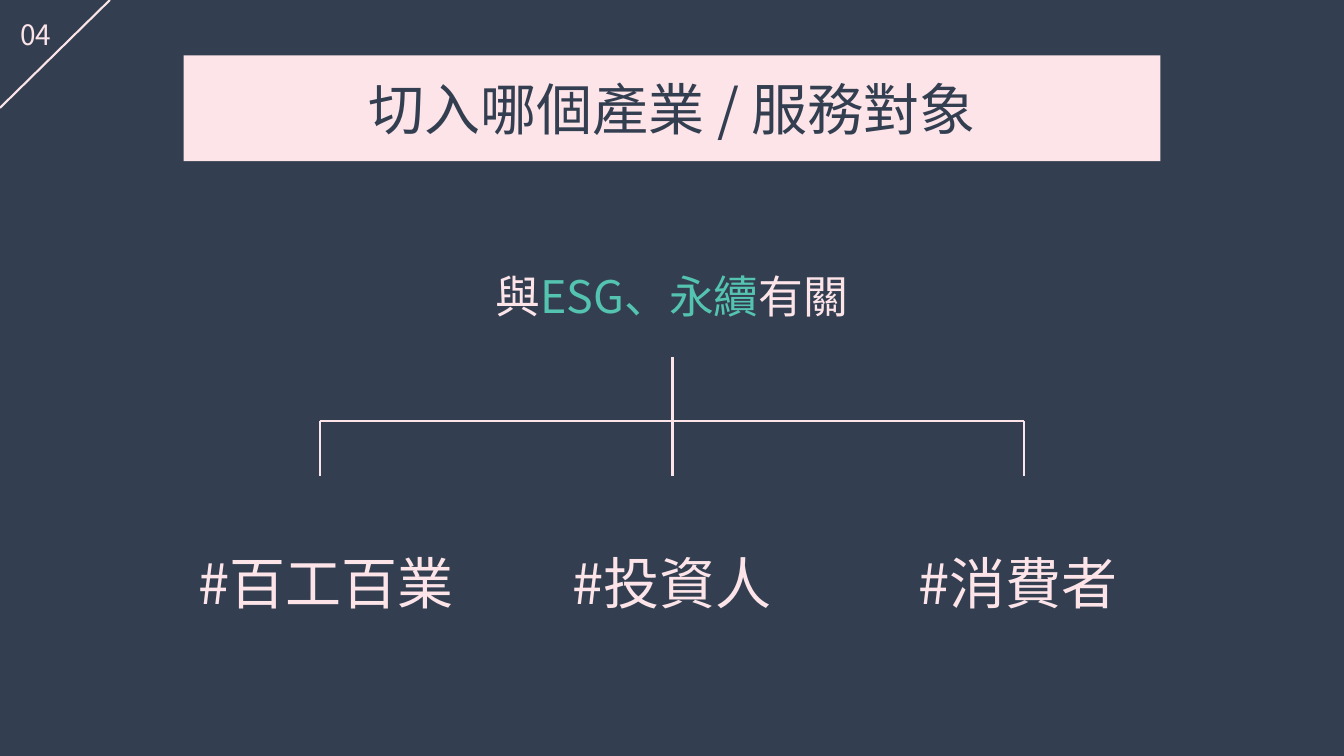
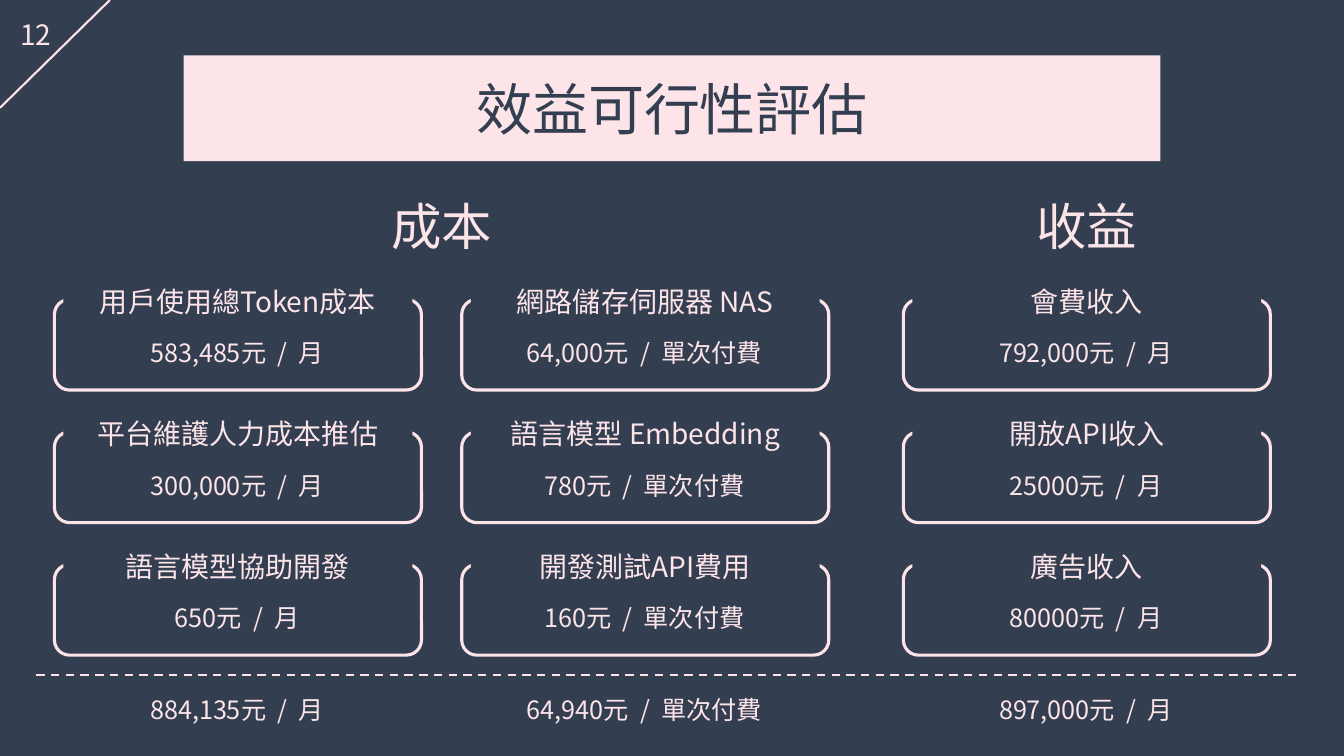
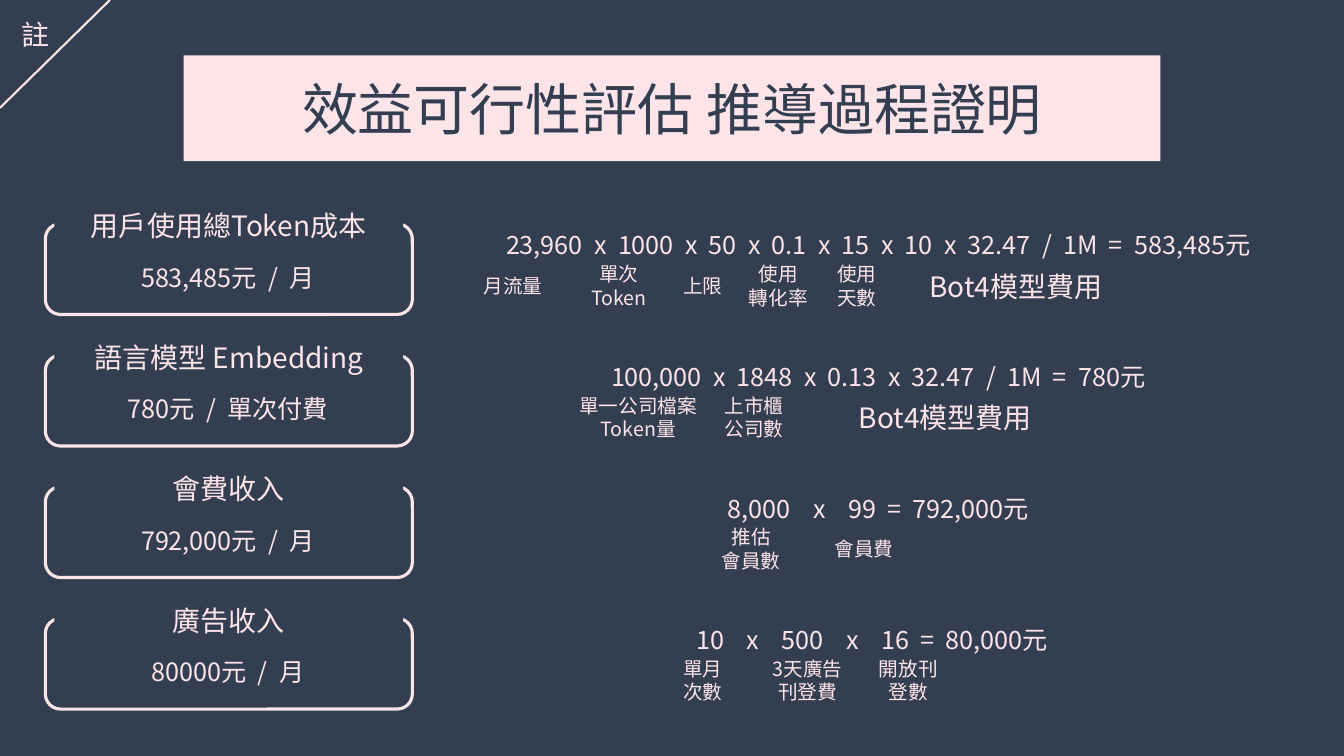
from lxml.etree import SubElement
from pptx import Presentation
from pptx.dml.color import RGBColor
from pptx.enum.dml import MSO_LINE
from pptx.enum.shapes import MSO_CONNECTOR, MSO_SHAPE
from pptx.enum.text import MSO_ANCHOR, PP_ALIGN
from pptx.oxml.ns import qn
from pptx.util import Inches, Pt

FONT = "Noto Sans CJK JP"
COLORS = {"navy": "333F50", "pink": "FCE4E9", "teal": "54C3B0"}
SIZES = {"title": 40, "lead": 32, "heading": 36, "name": 20, "amount": 18, "note": 14}
AMOUNT_GAP = 4  # extra points after each space in an amount

AUDIENCES = ["#百工百業", "#投資人", "#消費者"]

# heading: left of its box
HEADINGS = {"成本": 3.66, "收益": 10.06}
# (left, [(name, amount)], total)
COLUMNS = [
    (0.54, [("用戶使用總Token成本", "583,485元 / 月"),
            ("平台維護人力成本推估", "300,000元 / 月"),
            ("語言模型協助開發", "650元 / 月")], "884,135元 / 月"),
    (4.58, [("網路儲存伺服器 NAS", "64,000元 / 單次付費"),
            ("語言模型 Embedding", "780元 / 單次付費"),
            ("開發測試API費用", "160元 / 單次付費")], "64,940元 / 單次付費"),
    (8.96, [("會費收入", "792,000元 / 月"),
            ("開放API收入", "25000元 / 月"),
            ("廣告收入", "80000元 / 月")], "897,000元 / 月"),
]

# Offset of a note below the top of its row, by kind
NOTE_OFFSETS = {"single": 0.65, "double": 0.53, "price": 0.6}
PRICE_NOTE = "Bot4模型費用"
# (name, amount, factors, gap around factors, result, formula left, notes)
# with each note as (text, kind, left, width)
DERIVATIONS = [
    ("用戶使用總Token成本", "583,485元 / 月",
     "23,960 x 1000 x 50 x 0.1 x 15 x 10 x 32.47 / 1M", 4, "583,485元", 4.09,
     [("月流量", "single", 4.61, 0.96), ("單次Token", "double", 5.66, 0.96),
      ("上限", "single", 6.49, 0.96), ("使用\n轉化率", "double", 7.24, 0.96),
      ("使用\n天數", "double", 8.02, 0.96), (PRICE_NOTE, "price", 9, 2.15)]),
    ("語言模型 Embedding", "780元 / 單次付費",
     "100,000 x 1848 x 0.13 x 32.47 / 1M", 4, "780元", 4.09,
     [("單一公司檔案Token量", "double", 5.58, 1.5),
      ("上市櫃\n公司數", "double", 7.02, 0.92), (PRICE_NOTE, "price", 8.3, 2.15)]),
    ("會費收入", "792,000元 / 月", "8,000 x 99", 12, "792,000元", 4.09,
     [("推估\n會員數", "double", 6.99, 0.92), ("會員費", "single", 8.11, 0.92)]),
    ("廣告收入", "80000元 / 月", "10 x 500 x 16", 12, "80,000元", 4.03,
     [("單月\n次數", "double", 6.51, 0.92), ("3天廣告刊登費", "double", 7.55, 0.92),
      ("開放刊登數", "double", 8.55, 0.92)]),
]


def rgb(color):
    return RGBColor.from_string(COLORS[color])


def box(left, top, width, height):
    return [Inches(value) for value in (left, top, width, height)]


def add_run(paragraph, text, size, color="pink", gap=0):
    run = paragraph.add_run()
    run.text = text
    for name, value in {"name": FONT, "size": Pt(size), "bold": False}.items():
        setattr(run.font, name, value)
    run.font.color.rgb = rgb(color)
    properties = run._r.get_or_add_rPr()
    SubElement(properties, qn("a:ea")).set("typeface", FONT)
    if gap:
        properties.set("spc", str(gap * 100))


def add_spaced_runs(paragraph, text, size, gap):
    """Write text with its single spaces widened by gap points."""
    for index, word in enumerate(text.split(" ")):
        if index:
            add_run(paragraph, " ", size, gap=gap)
        if word:
            add_run(paragraph, word, size)


def format_frame(frame, anchor=MSO_ANCHOR.TOP):
    for name, value in {"word_wrap": True, "vertical_anchor": anchor}.items():
        setattr(frame, name, value)


def add_text(slide, position, text="", size=SIZES["amount"], gap=0, line_spacing=None):
    """Add a centred text box, one paragraph a line, and return its first paragraph."""
    frame = slide.shapes.add_textbox(*box(*position)).text_frame
    format_frame(frame)
    for index, line in enumerate(text.split("\n")):
        paragraph = frame.add_paragraph() if index else frame.paragraphs[0]
        paragraph.alignment = PP_ALIGN.CENTER
        if line_spacing:
            paragraph.line_spacing = line_spacing
        if line:
            add_spaced_runs(paragraph, line, size, gap)
    return frame.paragraphs[0]


def add_line(slide, start, end, dash=None):
    points = [Inches(value) for value in (*start, *end)]
    connector = slide.shapes.add_connector(MSO_CONNECTOR.STRAIGHT, *points)
    connector.line.color.rgb = rgb("pink")
    connector.line.width = Pt(1.5)
    if dash:
        connector.line.dash_style = dash
    SubElement(connector._element.spPr, qn("a:effectLst"))


def add_card(slide, left, top, name, amount):
    """Add an outlined card whose name interrupts the upper edge."""
    frame = slide.shapes.add_shape(MSO_SHAPE.ROUNDED_RECTANGLE, *box(left, top + 0.2, 3.64, 0.9))
    frame.shadow.inherit = False
    frame.fill.background()
    frame.line.color.rgb = rgb("pink")
    frame.line.width = Pt(2.25)
    add_text(slide, (left + 0.35, top + 0.53, 2.92, 0.4), amount, gap=AMOUNT_GAP)
    plate = slide.shapes.add_shape(MSO_SHAPE.RECTANGLE, *box(left + 0.09, top, 3.46, 0.44))
    plate.shadow.inherit = False
    plate.fill.solid()
    plate.fill.fore_color.rgb = rgb("navy")
    plate.line.fill.background()
    format_frame(plate.text_frame)
    paragraph = plate.text_frame.paragraphs[0]
    paragraph.alignment = PP_ALIGN.CENTER
    add_run(paragraph, name, SIZES["name"])


def add_titled_slide(presentation, title, number):
    slide = presentation.slides.add_slide(presentation.slide_layouts[5])
    band = slide.shapes.title
    band.left, band.top, band.width, band.height = box(1.82, 0.55, 9.69, 1.05)
    band.fill.solid()
    band.fill.fore_color.rgb = rgb("pink")
    format_frame(band.text_frame, MSO_ANCHOR.MIDDLE)
    paragraph = band.text_frame.paragraphs[0]
    paragraph.alignment = PP_ALIGN.CENTER
    add_run(paragraph, title, SIZES["title"], "navy")
    add_line(slide, (1.09, 0), (0, 1.07))
    add_text(slide, (0.08, 0.12, 0.55, 0.44), number, SIZES["name"])
    return slide


def build_audience_slide(presentation):
    slide = add_titled_slide(presentation, "切入哪個產業 / 服務對象", "04")
    lead = add_text(slide, (4.41, 2.35, 4.51, 0.82), line_spacing=1.5)
    for text, color in (("與", "pink"), ("ESG、永續", "teal"), ("有關", "pink")):
        add_run(lead, text, SIZES["lead"], color)

    left, middle, right = 3.17, 6.67, 10.16
    fork, bottom = 4.18, 4.72
    add_line(slide, (middle, 3.54), (middle, bottom))
    add_line(slide, (left, fork), (right, fork))
    for x in (left, right):
        add_line(slide, (x, fork), (x, bottom))
    for index, audience in enumerate(AUDIENCES):
        add_text(slide, (1.77 + 3.43 * index, 5.06, 2.93, 1), audience,
                 SIZES["title"], line_spacing=1.5)


def build_benefit_slide(presentation):
    slide = add_titled_slide(presentation, "效益可行性評估", "12")
    for heading, left in HEADINGS.items():
        add_text(slide, (left, 1.89, 1.44, 0.71), heading, SIZES["heading"])
    for left, cards, total in COLUMNS:
        for row, (name, amount) in enumerate(cards):
            add_card(slide, left, 2.77 + 1.315 * row, name, amount)
        add_text(slide, (left + 0.35, 6.84, 2.92, 0.4), total, gap=AMOUNT_GAP)
    add_line(slide, (0.36, 6.7), (12.89, 6.7), MSO_LINE.DASH)


def build_derivation_slide(presentation):
    slide = add_titled_slide(presentation, "效益可行性評估 推導過程證明", "註")
    for row, (name, amount, factors, gap, result, left, notes) in enumerate(DERIVATIONS):
        top = 2.02 + 1.305 * row
        add_card(slide, 0.45, top, name, amount)
        formula = add_text(slide, (left, top + 0.06, 9.24, 0.51), factors,
                           gap=gap, line_spacing=1.5)
        add_spaced_runs(formula, f" = {result}", SIZES["amount"], AMOUNT_GAP)
        for text, kind, note_left, width in notes:
            height = 0.57 if kind == "double" else 0.4
            size = SIZES["name"] if kind == "price" else SIZES["note"]
            add_text(slide, (note_left, top + NOTE_OFFSETS[kind], width, height), text, size)


def main():
    presentation = Presentation()
    presentation.slide_width = Inches(13.33)
    presentation.slide_height = Inches(7.5)
    background = presentation.slide_master.background.fill
    background.solid()
    background.fore_color.rgb = rgb("navy")
    build_audience_slide(presentation)
    build_benefit_slide(presentation)
    build_derivation_slide(presentation)
    presentation.save("out.pptx")


if __name__ == "__main__":
    main()
